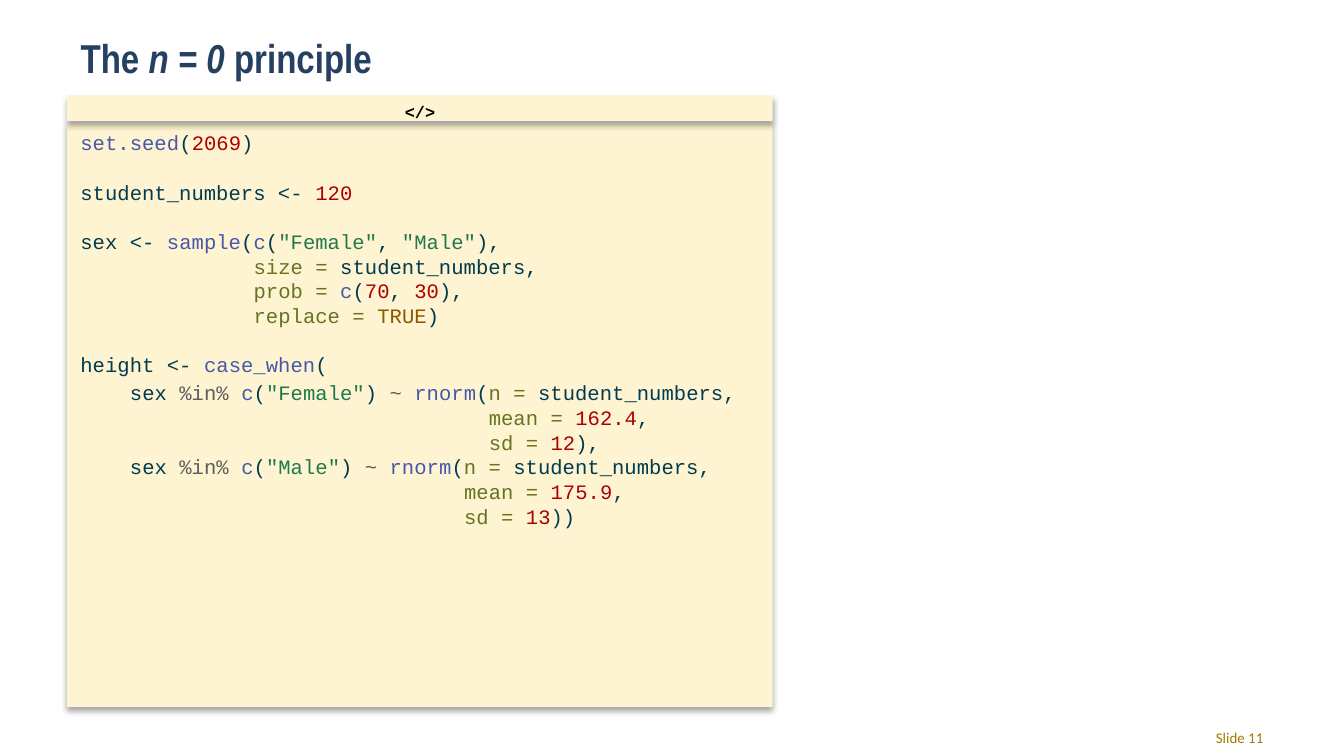
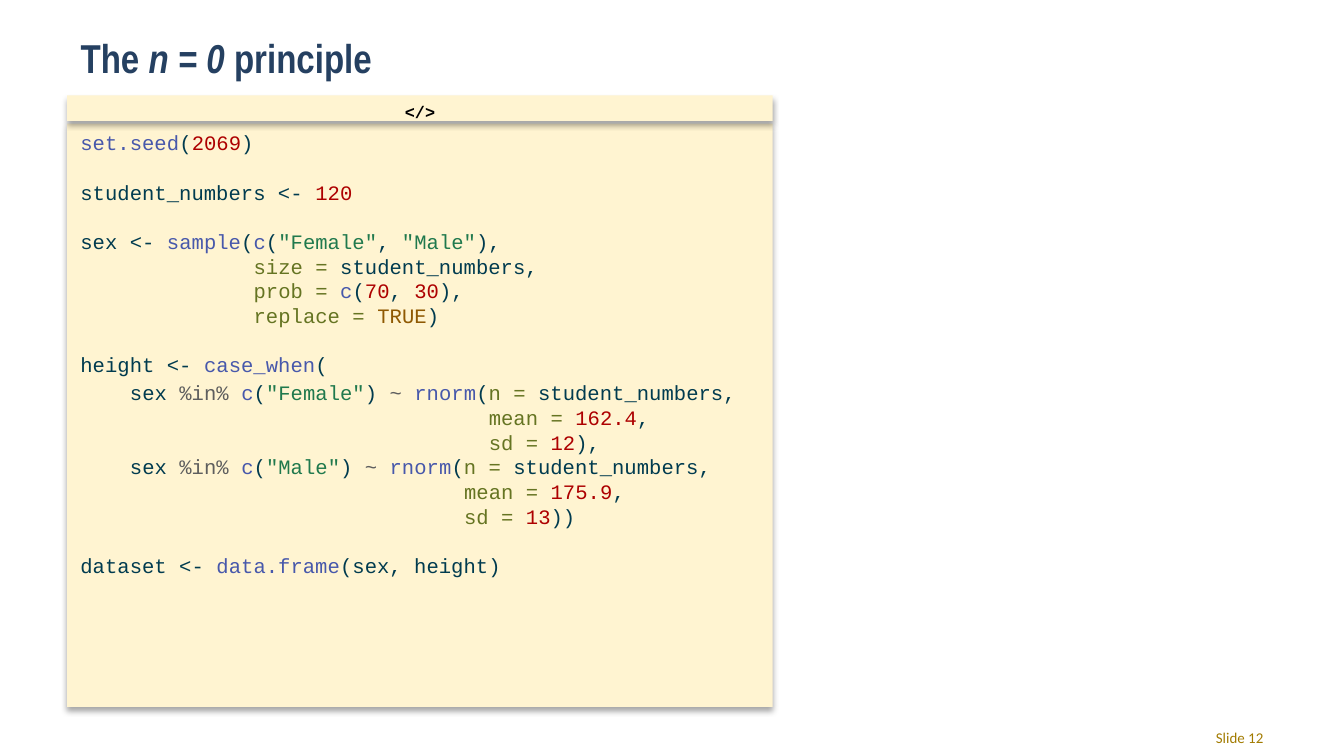
"""Build two slides that grow one block of R code line by line."""
from pptx import Presentation
from pptx.dml.color import RGBColor
from pptx.enum.shapes import MSO_SHAPE
from pptx.enum.text import MSO_ANCHOR, MSO_AUTO_SIZE, PP_ALIGN
from pptx.oxml import parse_xml
from pptx.util import Inches, Pt

RECT = MSO_SHAPE.RECTANGLE
TOP, MID = MSO_ANCHOR.TOP, MSO_ANCHOR.MIDDLE
FIXED = MSO_AUTO_SIZE.NONE
LEFT, MIDDLE, RIGHT = PP_ALIGN.LEFT, PP_ALIGN.CENTER, PP_ALIGN.RIGHT

MONO = "Courier New"
NAVY, GOLD, CREAM, BLACK = "254061", "A27B00", "FFF4D1", "000000"
INK = {
    "f": "4758AB",
    "t": "003B4F",
    "n": "AD0000",
    "s": "20794D",
    "a": "657422",
    "k": "8F5902",
    "o": "5E5E5E",
}
SHADE = (
    '<a:effectLst xmlns:a="http://schemas.openxmlformats.org/drawingml/2006/main">'
    '<a:outerShdw blurRad="38100" dist="25400" dir="5400000" algn="t" rotWithShape="0">'
    '<a:srgbClr val="000000"><a:alpha val="35000"/></a:srgbClr>'
    '</a:outerShdw></a:effectLst>'
)

SIZE = 11
CHAR = 6.63
LINE = SIZE * 1.2

BASE = [
    (0, 0, "f set.seed|t (|n 2069|t )"),
    (0, 1, "t student_numbers <- |n 120"),
    (0, 1, 't sex <- |f sample|t (|f c|t (|s "Female"|t , |s "Male"|t ),'),
    (14, 0, "a size = |t student_numbers,"),
    (14, 0, "a prob = |f c|t (|n 70|t , |n 30|t ),"),
    (14, 0, "a replace = |k TRUE|t )"),
    (0, 1, "t height <- |f case_when|t ("),
    (4, 0.14, 't sex |o %in% |f c|t (|s "Female"|t ) |o ~ |f rnorm|t (|a n = |t student_numbers,'),
    (33, 0, "a mean = |n 162.4|t ,"),
    (33, 0, "a sd = |n 12|t ),"),
    (4, 0, 't sex |o %in% |f c|t (|s "Male"|t ) |o ~ |f rnorm|t (|a n = |t student_numbers,'),
    (31, 0, "a mean = |n 175.9|t ,"),
    (31, 0, "a sd = |n 13|t ))"),
]
FRAME = [(0, 1, "t dataset <- |f data.frame|t (sex, height)")]
PAGES = [(11, BASE), (12, BASE + FRAME)]


def hue(code):
    """Turn a hex string into a colour."""
    return RGBColor.from_string(code)


def write(para, text, face, size, code, bold=False, slant=False):
    """Add one run to a paragraph."""
    run = para.add_run()
    run.text = text
    font = run.font
    font.name, font.size = face, Pt(size)
    font.bold, font.italic = bold, slant
    font.color.rgb = hue(code)


deck = Presentation()
wide = Inches(10)
deck.slide_width, deck.slide_height = wide, wide * 9 // 16
edge = int(wide * 0.05)
span = int(wide * 0.525)

for num, code in PAGES:
    slide = deck.slides.add_slide(deck.slide_layouts[5])

    title = slide.shapes.title
    title.left, title.top = edge, Inches(0.23)
    title.width, title.height = int(wide * 0.824), Inches(0.41)
    frame = title.text_frame
    frame.auto_size, frame.vertical_anchor = FIXED, MID
    frame.margin_top, frame.margin_bottom = 0, Inches(0.01)
    head = frame.paragraphs[0]
    head.alignment = LEFT
    for text, slant in (("The ", False), ("n = 0", True), (" principle", False)):
        write(head, text, "Arial Narrow", 21.6, NAVY, True, slant)

    frames = []
    for top, tall, inset in ((0.92, 4.34, 0.05), (0.71, 0.19, 0.05)):
        panel = slide.shapes.add_shape(RECT, edge, Inches(top), span, Inches(tall))
        panel.fill.solid()
        panel.fill.fore_color.rgb = hue(CREAM)
        panel.line.fill.background()
        panel._element.spPr.append(parse_xml(SHADE))
        frame = panel.text_frame
        frame.word_wrap, frame.vertical_anchor = True, TOP
        frame.margin_top, frame.margin_bottom = Inches(inset), 0
        frames.append(frame)
    body, bar = frames

    for row, (col, gap, parts) in enumerate(code):
        para = body.add_paragraph() if row else body.paragraphs[0]
        para.alignment = LEFT
        para.line_spacing, para.space_before = Pt(LINE), Pt(LINE * gap)
        props = para._p.get_or_add_pPr()
        props.set("marL", str(Pt(CHAR * col)))
        props.set("indent", "0")
        for part in parts.split("|"):
            write(para, part[2:], MONO, SIZE, INK[part[0]])

    para = bar.paragraphs[0]
    para.alignment = MIDDLE
    write(para, "</>", MONO, 9, BLACK, True)

    foot = slide.shapes.add_textbox(int(wide * 0.877), Inches(5.4), int(wide * 0.073), Inches(0.18))
    frame = foot.text_frame
    frame.word_wrap, frame.vertical_anchor = True, MID
    frame.margin_top = frame.margin_bottom = 0
    para = frame.paragraphs[0]
    para.alignment = RIGHT
    write(para, f"Slide {num}", "Calibri", 8, GOLD)

deck.save("out.pptx")
